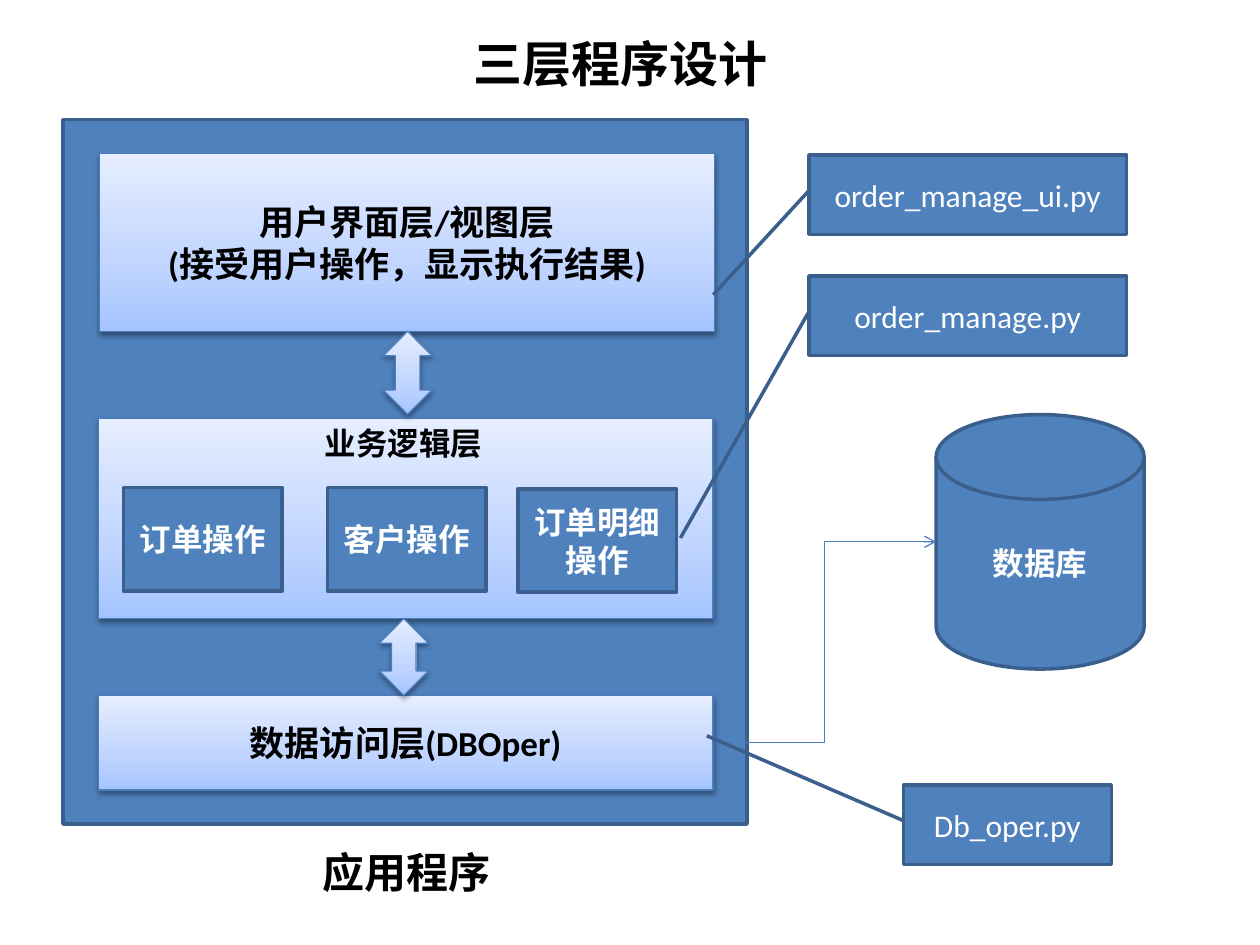
import pptx
import pptx.util
import pptx.dml.color
import pptx.enum.shapes
import pptx.enum.text
import pptx.oxml
import pptx.oxml.ns

Inches, Pt = pptx.util.Inches, pptx.util.Pt
SHAPE = pptx.enum.shapes.MSO_SHAPE
ALIGN = pptx.enum.text.PP_ALIGN
ANCHOR = pptx.enum.text.MSO_ANCHOR

THEME = {
    "font": "Calibri",
    "blue": "4F81BD", "edge": "3A5F8C", "edge_width": 2,
    "thin": "4B7EBC", "thin_width": 0.75,
    "gradient": [(0, "A4C4FF"), (35, "BFD4FF"), (100, "E6EEFF")],
    "dark": "000000", "light": "FFFFFF",
    "title": 28, "caption": 24, "layer": 20, "body": 18,
}

# Boxes are (left, top, width, height) in inches.
DATABASE = ("数据库", (7.43, 3.29, 1.65, 2.02))
APPLICATION_BOX = (0.5, 0.95, 5.43, 5.59)
DATA_LAYER = (["数据访问层(DBOper)"], (0.78, 5.52, 4.88, 0.75))
LOGIC_LAYER = ([], (0.78, 3.32, 4.88, 1.59))
VIEW_LAYER = (["用户界面层/视图层", "(接受用户操作，显示执行结果)"],
              (0.79, 1.22, 4.88, 1.41))
OPERATIONS = [("订单操作", 0.98, 3.87), ("客户操作", 2.6, 3.87),
              ("订单明细操作", 4.11, 3.88)]
OPERATION_SIZE = (1.26, 0.82)
# File name, box, and the point its callout line reaches
FILES = [
    ("order_manage_ui.py", (6.42, 1.23, 2.52, 0.63), (5.66, 2.34)),
    ("order_manage.py", (6.42, 2.19, 2.52, 0.63), (5.4, 4.27)),
    ("Db_oper.py", (7.17, 6.23, 1.65, 0.63), (5.61, 5.84)),
]
HEADINGS = [
    ("应用程序", (2.46, 6.67, 1.56, 0.5), "caption"),
    ("三层程序设计", (3.66, 0.22, 2.55, 0.57), "title"),
    ("业务逻辑层", (2.48, 3.32, 1.46, 0.4), "body"),
]
LAYER_ARROWS = [(3.04, 2.63, 0.39, 0.66), (3.01, 4.91, 0.39, 0.61)]


def rgb(name):
    return pptx.dml.color.RGBColor.from_string(THEME[name])


def lengths(box):
    return [Inches(value) for value in box]


def write(frame, lines, size, color, bold=True, align=ALIGN.CENTER):
    for index, line in enumerate(lines):
        paragraph = frame.paragraphs[0] if index == 0 else frame.add_paragraph()
        paragraph.alignment = align
        run = paragraph.add_run()
        run.text = line
        run.font.name = THEME["font"]
        run.font.size = Pt(THEME[size])
        run.font.bold = bold
        run.font.color.rgb = rgb(color)


def add_outlined(slide, kind, box, line, width):
    shape = slide.shapes.add_shape(kind, *lengths(box))
    shape.line.color.rgb = rgb(line)
    shape.line.width = Pt(THEME[width])
    shape.shadow.inherit = False
    shape.text_frame.word_wrap = True
    shape.text_frame.vertical_anchor = ANCHOR.MIDDLE
    return shape


def add_solid(slide, kind, box, lines=(), bold=True):
    shape = add_outlined(slide, kind, box, "edge", "edge_width")
    shape.fill.solid()
    shape.fill.fore_color.rgb = rgb("blue")
    write(shape.text_frame, lines, "body", "light", bold)
    return shape


def add_raised(slide, kind, box, lines=()):
    """Add a shape with the pale upward gradient and a soft drop shadow."""
    shape = add_outlined(slide, kind, box, "thin", "thin_width")
    shape.fill.gradient()
    shape.fill.gradient_angle = 90
    properties = shape._element.spPr
    namespace = pptx.oxml.ns.nsdecls("a")
    stops = properties.find(".//" + pptx.oxml.ns.qn("a:gsLst"))
    for stop in list(stops):
        stops.remove(stop)
    for position, color in THEME["gradient"]:
        stops.append(pptx.oxml.parse_xml(
            f'<a:gs {namespace} pos="{position * 1000}">'
            f'<a:srgbClr val="{color}"/></a:gs>'))
    properties.find(pptx.oxml.ns.qn("a:effectLst")).append(pptx.oxml.parse_xml(
        f'<a:outerShdw {namespace} blurRad="{Pt(3.1)}" dist="{Pt(1.6)}" '
        'dir="5400000" rotWithShape="0"><a:srgbClr val="000000">'
        '<a:alpha val="38000"/></a:srgbClr></a:outerShdw>'))
    write(shape.text_frame, lines, "layer", "dark")


def add_file_callout(slide, name, box, target):
    callout = add_solid(slide, SHAPE.LINE_CALLOUT_1, box, [name], bold=False)
    left, top, width, height = box
    ends = (0.45, 0, (target[1] - top) / height, (target[0] - left) / width)
    for index, value in enumerate(ends):
        callout.adjustments[index] = value


def add_heading(slide, text, box, size):
    frame = slide.shapes.add_textbox(*lengths(box)).text_frame
    frame.word_wrap = False
    frame.auto_size = pptx.enum.text.MSO_AUTO_SIZE.SHAPE_TO_FIT_TEXT
    write(frame, [text], size, "dark", align=ALIGN.LEFT)


def add_database_link(slide):
    """Run an elbow arrow from the data layer's right side to the database."""
    left, top, width, height = DATA_LAYER[1]
    disk_left, disk_top, _, disk_height = DATABASE[1]
    link = slide.shapes.add_connector(
        pptx.enum.shapes.MSO_CONNECTOR.ELBOW,
        *lengths((left + width, top + height / 2,
                  disk_left, disk_top + disk_height / 2)))
    link.line.color.rgb = rgb("thin")
    link.line.width = Pt(THEME["thin_width"])
    namespace = pptx.oxml.ns.nsdecls("a")
    link.line._get_or_add_ln().append(
        pptx.oxml.parse_xml(f'<a:tailEnd {namespace} type="arrow"/>'))
    link._element.spPr.append(pptx.oxml.parse_xml(f"<a:effectLst {namespace}/>"))


def main():
    deck = pptx.Presentation()
    deck.slide_width, deck.slide_height = Inches(10), Inches(7.5)
    slide = deck.slides.add_slide(deck.slide_layouts[6])

    database_name, database_box = DATABASE
    add_solid(slide, SHAPE.FLOWCHART_MAGNETIC_DISK, database_box, [database_name])
    add_solid(slide, SHAPE.RECTANGLE, APPLICATION_BOX)
    add_database_link(slide)
    for lines, box in (DATA_LAYER, LOGIC_LAYER, VIEW_LAYER):
        add_raised(slide, SHAPE.RECTANGLE, box, lines)
    for name, left, top in OPERATIONS:
        add_solid(slide, SHAPE.RECTANGLE, (left, top, *OPERATION_SIZE), [name])
    for name, box, target in FILES:
        add_file_callout(slide, name, box, target)
    for text, box, size in HEADINGS:
        add_heading(slide, text, box, size)
    for box in LAYER_ARROWS:
        add_raised(slide, SHAPE.UP_DOWN_ARROW, box)

    deck.save("out.pptx")


if __name__ == "__main__":
    main()
